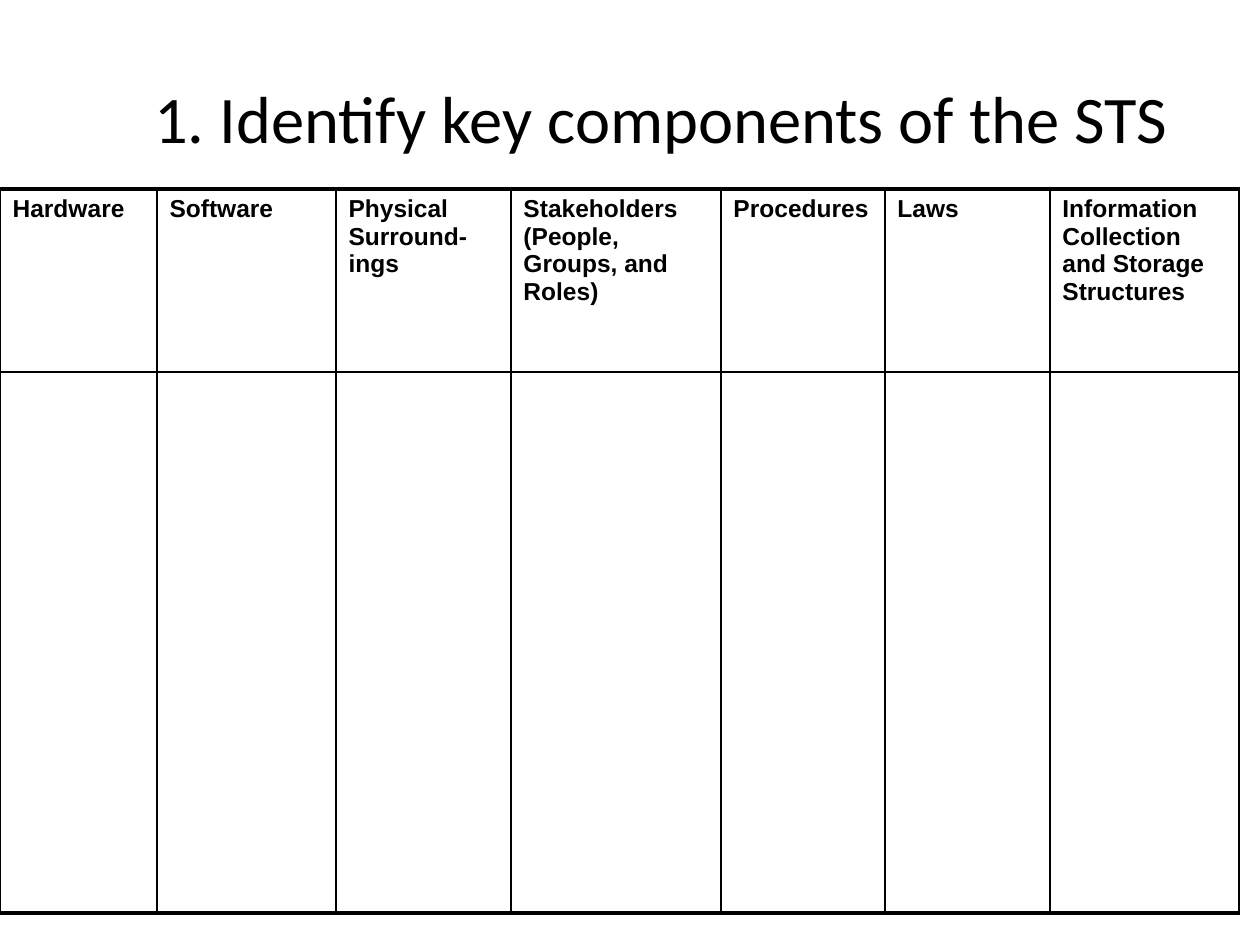
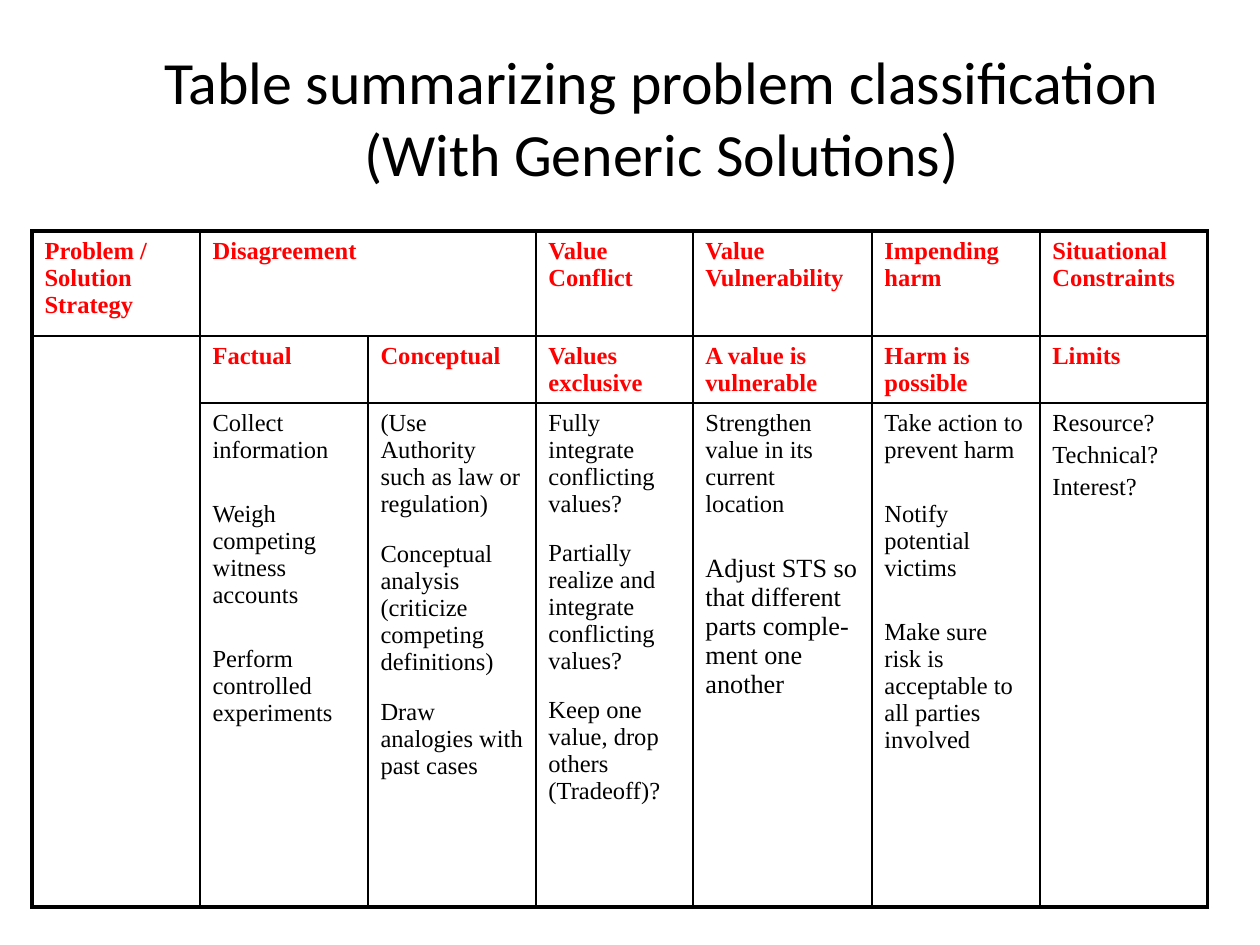
from lxml import etree
from pptx import Presentation
from pptx.dml.color import RGBColor
from pptx.enum.text import MSO_ANCHOR, MSO_AUTO_SIZE, PP_ALIGN
from pptx.oxml.ns import qn
from pptx.util import Pt

PX = 914400 // 126
CENTER = PP_ALIGN.CENTER
MIDDLE = MSO_ANCHOR.MIDDLE
NO_FIT = MSO_AUTO_SIZE.NONE
COLORS = {"text": "000000", "heading": "FF0000", "line": "000000", "paper": "FFFFFF"}
THIN, THICK = 1, 2.25
TITLE_ONLY = 5


class Deck:
    def __init__(self, width, height):
        self.prs = Presentation()
        self.prs.slide_width = width * PX
        self.prs.slide_height = height * PX
        self.s = None

    def color(self, name):
        return RGBColor.from_string(COLORS[name])

    def font(self, p, name, size, color, bold=False):
        p.font.name = name
        p.font.size = Pt(size)
        p.font.bold = bold
        p.font.color.rgb = self.color(color)

    def slide(self, title, size):
        self.s = self.prs.slides.add_slide(self.prs.slide_layouts[TITLE_ONLY])
        sp = self.s.shapes.title
        sp.left, sp.top, sp.width, sp.height = (v * PX for v in (126, 38, 1071, 157))
        tf = sp.text_frame
        tf.text = title
        tf.auto_size = NO_FIT
        tf.vertical_anchor = MIDDLE
        p = tf.paragraphs[0]
        p.alignment = CENTER
        self.font(p, "Calibri", size, "text")

    def table(self, x, y, cols, rows, side, merges=()):
        frame = self.s.shapes.add_table(len(rows), len(cols), x * PX, y * PX,
                                        sum(cols) * PX, sum(rows) * PX)
        tbl = frame.table
        tbl.first_row = tbl.horz_banding = False
        for col, width in zip(tbl.columns, cols):
            col.width = width * PX
        for row, height in zip(tbl.rows, rows):
            row.height = height * PX
        for first, last in merges:
            tbl.cell(*first).merge(tbl.cell(*last))
        for i in range(len(rows)):
            for j in range(len(cols)):
                cell = tbl.cell(i, j)
                self.borders(cell, {
                    "lnL": side if j == 0 else THIN,
                    "lnR": side if j + cell.span_width == len(cols) else THIN,
                    "lnT": THICK if i == 0 else THIN,
                    "lnB": THICK if i + cell.span_height == len(rows) else THIN})
                cell.fill.solid()
                cell.fill.fore_color.rgb = self.color("paper")
        return tbl

    def borders(self, cell, widths):
        tcPr = cell._tc.get_or_add_tcPr()
        for tag, width in widths.items():
            ln = etree.SubElement(tcPr, qn("a:" + tag), w=str(Pt(width)))
            fill = etree.SubElement(ln, qn("a:solidFill"))
            etree.SubElement(fill, qn("a:srgbClr"), val=COLORS["line"])

    def cell_text(self, cell, lines, name, color="text", bold=False, gap=0, sizes=()):
        tf = cell.text_frame
        for k, line in enumerate(lines):
            p = tf.paragraphs[0] if k == 0 else tf.add_paragraph()
            p.text = line
            p.space_before = Pt(gap if k else 0)
            self.font(p, name, sizes[k] if sizes else 14, color, bold)


deck = Deck(1260, 945)

deck.slide("1. Identify key components of the STS", 38)
components = ["Hardware", "Software", "Physical Surround-ings",
              "Stakeholders (People, Groups, and Roles)", "Procedures", "Laws",
              "Information Collection and Storage Structures"]
tbl = deck.table(0, 189, [157, 179, 175, 210, 164, 165, 189], [183, 541], THIN)
for j, text in enumerate(components):
    deck.cell_text(tbl.cell(0, j), [text], "Arial", bold=True)

deck.slide("Table summarizing problem classification (With Generic Solutions)", 34.2)
tbl = deck.table(32, 231, [168, 168, 168, 157, 179, 168, 168], [105, 67, 504], THICK,
                 merges=[((0, 1), (0, 2)), ((1, 0), (2, 0))])
headings = [
    ["Problem / Solution Strategy", "Disagreement", None, "Value Conflict",
     "Value Vulnerability", "Impending harm", "Situational Constraints"],
    [None, "Factual", "Conceptual", "Values exclusive", "A value is vulnerable",
     "Harm is possible", "Limits"]]
for i, row in enumerate(headings):
    for j, text in enumerate(row):
        if text:
            deck.cell_text(tbl.cell(i, j), [text], "Times New Roman", "heading", True)

solutions = [
    (21, ["Collect information", "Weigh competing witness accounts",
          "Perform controlled experiments"], ()),
    (13, ["(Use Authority such as law or regulation)",
          "Conceptual analysis (criticize competing definitions)",
          "Draw analogies with past cases"], ()),
    (12.5, ["Fully integrate conflicting values?",
            "Partially realize and integrate conflicting values?",
            "Keep one value, drop others (Tradeoff)?"], ()),
    (21, ["Strengthen value in its current location",
          "Adjust STS so that different parts comple-ment one another"], (14, 15)),
    (21, ["Take action to prevent harm", "Notify potential victims",
          "Make sure risk is acceptable to all parties involved"], ()),
    (2.8, ["Resource?", "Technical?", "Interest?"], ())]
for j, (gap, lines, sizes) in enumerate(solutions, 1):
    deck.cell_text(tbl.cell(2, j), lines, "Times New Roman", gap=gap, sizes=sizes)

deck.prs.save("out.pptx")
